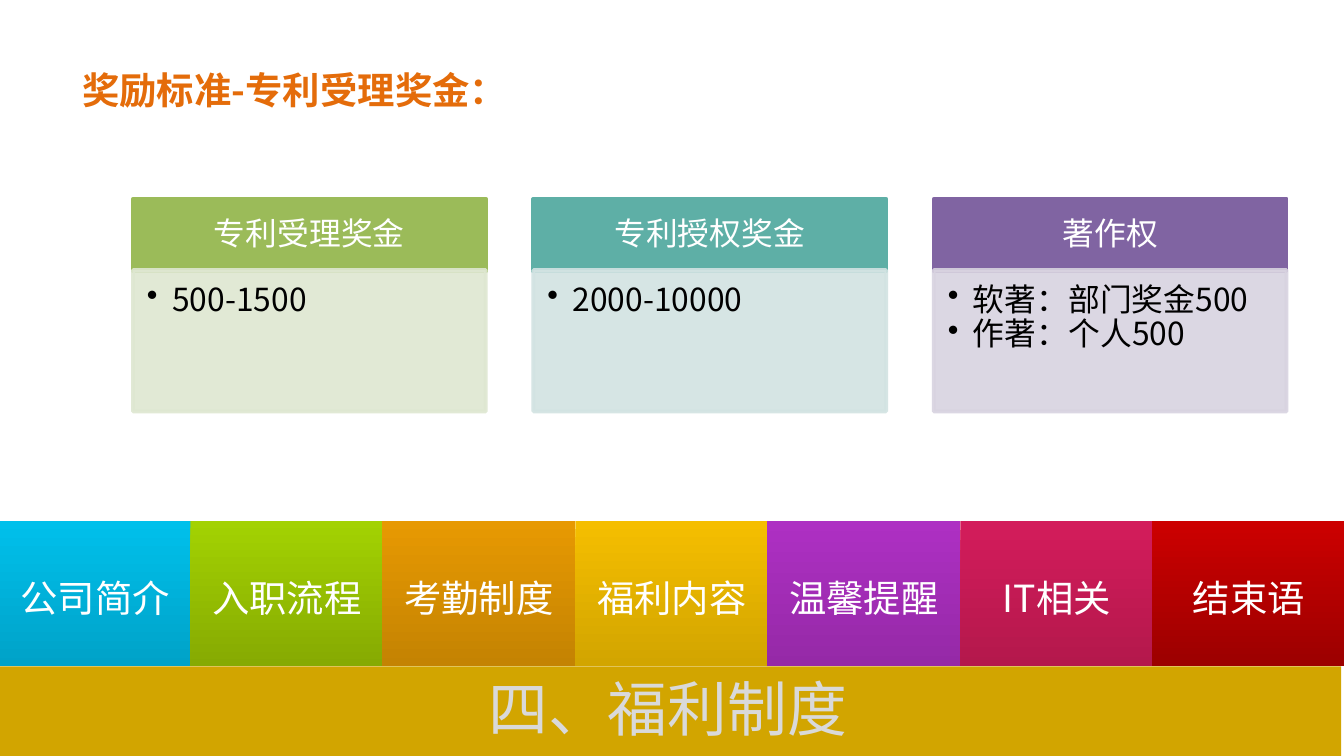
"""Builds the welfare slide with three award cards above a row of section tabs."""
from lxml import etree
from pptx import Presentation
from pptx.dml.color import RGBColor
from pptx.enum.shapes import MSO_SHAPE
from pptx.enum.text import MSO_ANCHOR, MSO_AUTO_SIZE, PP_ALIGN
from pptx.oxml.ns import qn
from pptx.util import Emu, Pt

RECTANGLE = MSO_SHAPE.RECTANGLE
TOP, MIDDLE = MSO_ANCHOR.TOP, MSO_ANCHOR.MIDDLE
LEFT, CENTER = PP_ALIGN.LEFT, PP_ALIGN.CENTER
NO_AUTOFIT = MSO_AUTO_SIZE.NONE
PX = 9525
FONT = "Noto Sans CJK SC"
COLORS = {
    "heading": "E46C0A",
    "white": "FFFFFF",
    "black": "000000",
    "banner": "D2A500",
    "banner_text": "D9D9D9",
}
TABS = [
    ("公司简介", "00C0EB", "00A2C8"),
    ("入职流程", "A3D202", "86AA02"),
    ("考勤制度", "E79902", "C48302"),
    ("福利内容", "F5BE00", "D2A500"),
    ("温馨提醒", "AE30C3", "9529A7"),
    ("IT相关", "D31C5B", "B4184C"),
    ("结束语", "CC0000", "9C0000"),
]
CARDS = [
    ("专利受理奖金", "9BBB59", "DEE7D1", ["500-1500"]),
    ("专利授权奖金", "5EAFA6", "D2E3E2", ["2000-10000"]),
    ("著作权", "8064A2", "D8D3E0", ["软著：部门奖金500", "作著：个人500"]),
]


def add_rectangle(page, left, top, width, height, color=None):
    shape = page.shapes.add_shape(RECTANGLE, left * PX, top * PX, width * PX, height * PX)
    shape.shadow.inherit = False
    shape.line.fill.background()
    if color:
        shape.fill.solid()
        shape.fill.fore_color.rgb = RGBColor.from_string(color)
    return shape


def write(box, lines, size, color, align=CENTER, anchor=TOP, bold=False):
    frame = box.text_frame
    frame.word_wrap = True
    frame.auto_size = NO_AUTOFIT
    frame.vertical_anchor = anchor
    for index, line in enumerate(lines):
        para = frame.add_paragraph() if index else frame.paragraphs[0]
        para.alignment = align
        span = para.add_run()
        span.text = line
        span.font.size = Pt(size)
        span.font.bold = bold
        span.font.name = FONT
        span.font.color.rgb = RGBColor.from_string(color)
        etree.SubElement(span.font._element, qn("a:ea"), typeface=FONT)
    return frame


deck = Presentation()
deck.slide_width = Emu(960 * PX)
deck.slide_height = Emu(540 * PX)
page = deck.slides.add_slide(deck.slide_layouts[5])

title = page.shapes.title
title.left, title.top, title.width, title.height = [Emu(n * PX) for n in (49, 43, 352, 42)]
write(title, ["奖励标准-专利受理奖金："], 20, COLORS["heading"], LEFT, bold=True)

for index, (label, start, end) in enumerate(TABS):
    left = 962 * index // 7 - 1
    tab = add_rectangle(page, left, 372, 138, 104)
    tab.fill.gradient()
    tab.fill.gradient_angle = 270
    for stop, color in zip(tab.fill.gradient_stops, (start, end)):
        stop.color.rgb = RGBColor.from_string(color)
    box = page.shapes.add_textbox((left + 3) * PX, 406 * PX, 132 * PX, 42 * PX)
    write(box, [label], 20, COLORS["white"])

add_rectangle(page, -4, 476, 962, 64, COLORS["banner"])
banner = page.shapes.add_textbox(-4 * PX, 475 * PX, 962 * PX, 61 * PX)
write(banner, ["四、福利制度"], 32, COLORS["banner_text"])

for index, (heading, strong, pale, items) in enumerate(CARDS):
    left = 95 + 286 * index
    header = add_rectangle(page, left, 142, 252, 52, strong)
    body = add_rectangle(page, left, 193, 252, 101, pale)
    for shape, color in ((header, strong), (body, pale)):
        shape.line.color.rgb = RGBColor.from_string(color)
        shape.line.width = Pt(2)
    for fill_color in body._element.spPr.iter(qn("a:srgbClr")):
        etree.SubElement(fill_color, qn("a:alpha"), val="90000")

    frame = write(header, [heading], 17, COLORS["white"], anchor=MIDDLE)
    frame.margin_left = frame.margin_right = 12 * PX
    frame.margin_top = frame.margin_bottom = 8 * PX
    frame.paragraphs[0].line_spacing = 0.9

    frame = write(body, items, 17, COLORS["black"], LEFT)
    frame.margin_left = frame.margin_top = 10 * PX
    frame.margin_right, frame.margin_bottom = 12 * PX, 14 * PX
    for para in frame.paragraphs:
        para.line_spacing = 0.9
        properties = para._p.get_or_add_pPr()
        properties.set("marL", str(18 * PX))
        properties.set("indent", str(-18 * PX))
        etree.SubElement(properties, qn("a:buChar"), char="•")

deck.save("out.pptx")
